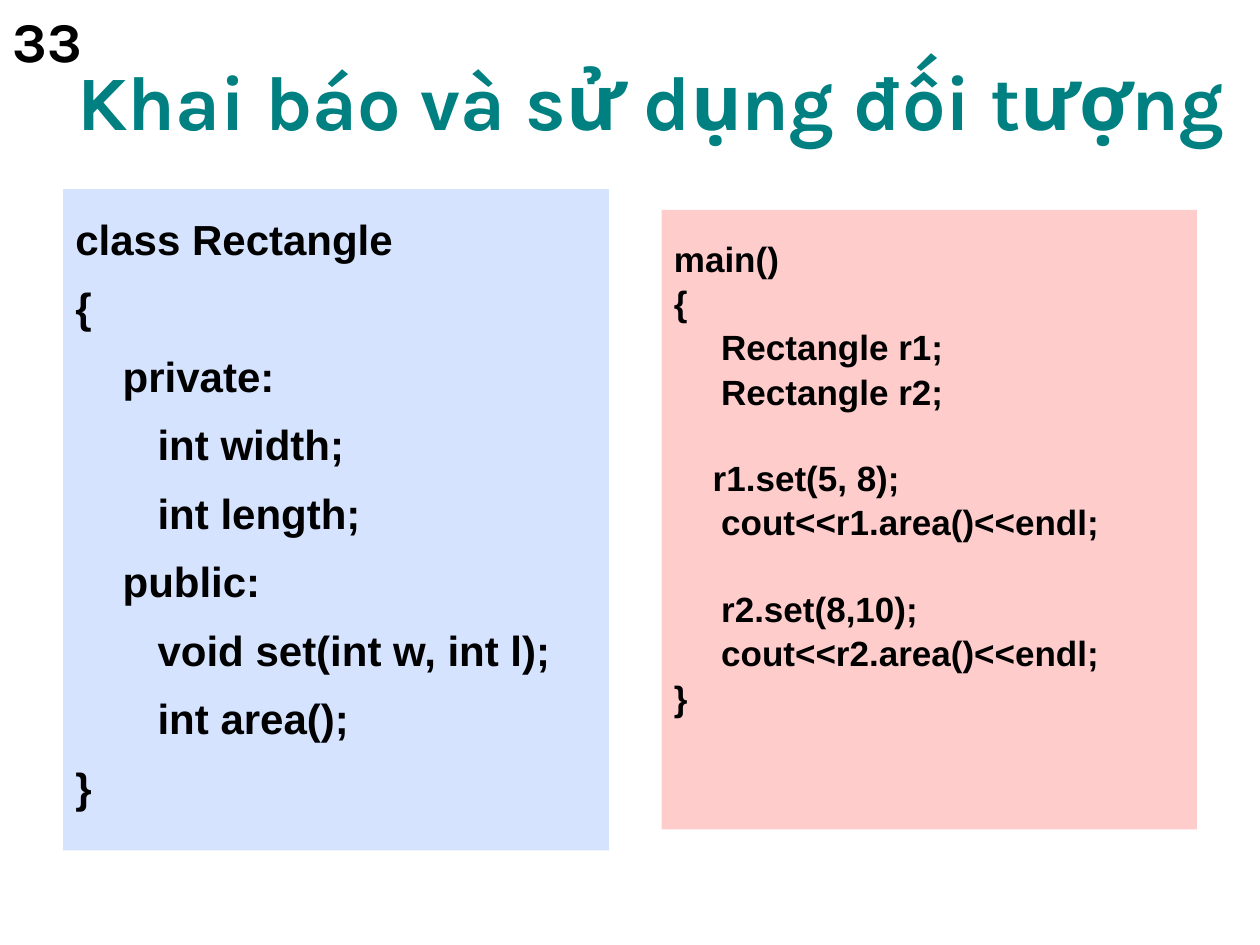
from pptx import Presentation
from pptx.dml.color import RGBColor
from pptx.enum.shapes import MSO_SHAPE
from pptx.enum.text import MSO_ANCHOR, PP_ALIGN
from pptx.util import Pt

COLORS = {"title": "008080", "text": "000000", "class": "D5E3FF", "main": "FFCCCC"}

CLASS_CODE = """class Rectangle
{
\tprivate:
\t   int width;
\t   int length;
\tpublic:
\t   void set(int w, int l);
\t   int area();
}"""

MAIN_CODE = """main()
{
\tRectangle r1;
\tRectangle r2;

    r1.set(5, 8);
\tcout<<r1.area()<<endl;

\tr2.set(8,10);
\tcout<<r2.area()<<endl;
}"""


def add_run(paragraph, text, font, size, color):
    run = paragraph.add_run()
    run.text = text
    run.font.name = font
    run.font.size = Pt(size)
    run.font.bold = True
    run.font.color.rgb = RGBColor.from_string(COLORS[color])


def set_insets(frame, top=3.6):
    frame.margin_left = frame.margin_right = Pt(7.2)
    frame.margin_top, frame.margin_bottom = Pt(top), Pt(3.6)


def place_title(slide, box, text):
    title = slide.shapes.title
    title.left, title.top, title.width, title.height = map(Pt, box)
    frame = title.text_frame
    set_insets(frame)
    frame.word_wrap = True
    frame.vertical_anchor = MSO_ANCHOR.BOTTOM
    heading = frame.paragraphs[0]
    heading.alignment = PP_ALIGN.CENTER
    add_run(heading, text, "Karla", 44, "title")


def place_code(slide, box, code, fill, size, line_spacing, gap, top_inset):
    panel = slide.shapes.add_shape(MSO_SHAPE.RECTANGLE, *map(Pt, box))
    panel.shadow.inherit = False
    panel.fill.solid()
    panel.fill.fore_color.rgb = RGBColor.from_string(COLORS[fill])
    panel.line.fill.background()
    frame = panel.text_frame
    set_insets(frame, top_inset)
    frame.word_wrap = True
    frame.vertical_anchor = MSO_ANCHOR.TOP
    blank_height = size * 1.15 * line_spacing + gap
    space = 0
    for code_line in code.split("\n"):
        if not code_line:
            space += blank_height
            continue
        paragraph = frame.add_paragraph() if frame.text else frame.paragraphs[0]
        properties = paragraph._p.get_or_add_pPr()
        properties.set("marL", str(Pt(27)))
        properties.set("indent", str(-Pt(27)))
        paragraph.alignment = PP_ALIGN.LEFT
        paragraph.line_spacing = line_spacing
        paragraph.space_before = Pt(round(space, 1))
        add_run(paragraph, code_line, "Arial", size, "text")
        space = gap


def place_number(slide, box, number):
    page = slide.shapes.add_textbox(*map(Pt, box))
    frame = page.text_frame
    set_insets(frame)
    frame.word_wrap = True
    add_run(frame.paragraphs[0], number, "Karla", 32, "text")


def main():
    presentation = Presentation()
    presentation.slide_width, presentation.slide_height = Pt(720), Pt(540)
    slide = presentation.slides.add_slide(presentation.slide_layouts[5])
    place_title(slide, (24, 30, 696, 57), "Khai báo và sử dụng đối tượng")
    place_code(slide, (36, 108, 312, 378), CLASS_CODE, "class", 24, 1.15, 6, 9.6)
    place_code(slide, (378, 120, 306, 354), MAIN_CODE, "main", 20, 0.85, 4.8, 19.6)
    place_number(slide, (0, 0, 78, 51), "33")
    presentation.save("out.pptx")


if __name__ == "__main__":
    main()
